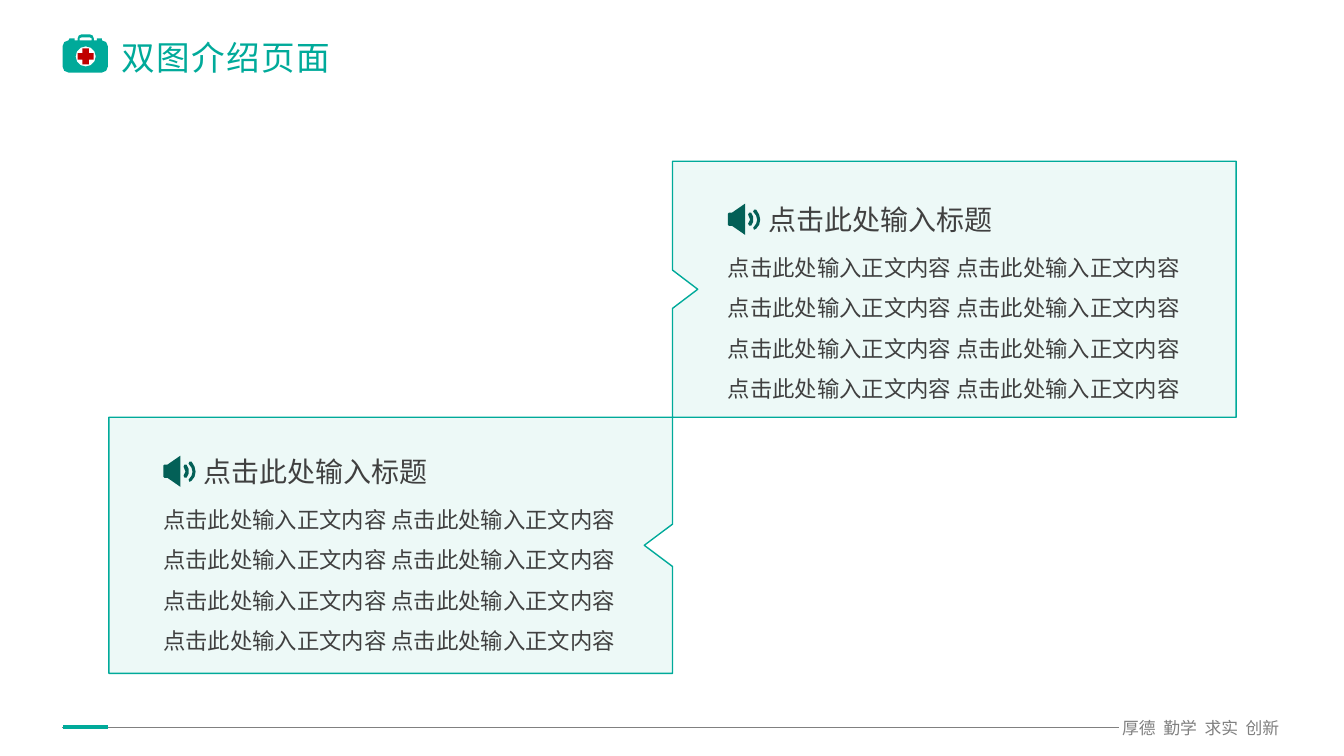
from dataclasses import dataclass
from math import cos, radians, sin

from lxml.etree import SubElement
from pptx import Presentation
from pptx.dml.color import RGBColor as Rgb
from pptx.enum.shapes import MSO_CONNECTOR as Conn, MSO_SHAPE as Shape
from pptx.enum.text import MSO_ANCHOR as Anchor, PP_ALIGN as Align
from pptx.oxml.ns import qn
from pptx.util import Pt

PX = 9144


@dataclass(frozen=True)
class Theme:
    """Colours, font and type sizes of the slide."""
    teal: str = "00AA9A"
    deep: str = "008074"
    dark: str = "036057"
    red: str = "C00000"
    ink: str = "404040"
    grey: str = "808080"
    font: str = "Noto Sans CJK JP"
    title: int = 24
    head: int = 20
    body: int = 16
    foot: int = 12


T = Theme()


def rgb(code):
    """Turn a hex code into a colour."""
    return Rgb.from_string(code)


def arc(cx, cy, r, start, end, count=2):
    """List points along a circular arc, angles in degrees, clockwise."""
    turns = [radians(start + (end - start) * i / count) for i in range(count + 1)]
    return [(cx + r * cos(a), cy + r * sin(a)) for a in turns]


def paint(shape, fill, line=None):
    """Give a shape its fill and its line."""
    shape.shadow.inherit = False
    shape.fill.solid()
    shape.fill.fore_color.rgb = rgb(fill)
    if line:
        shape.line.color.rgb = rgb(line)
        shape.line.width = Pt(1)
    else:
        shape.line.fill.background()


def draw(slide, x, y, loops, fill, line=None):
    """Draw closed outlines, given relative to x and y, as one shape."""
    loops = [[((x + a) * PX, (y + b) * PX) for a, b in loop] for loop in loops]
    pen = slide.shapes.build_freeform(*loops[0][0], scale=1.0)
    pen.add_line_segments(loops[0][1:], close=True)
    for loop in loops[1:]:
        pen.move_to(*loop[0])
        pen.add_line_segments(loop[1:], close=True)
    shape = pen.convert_to_shape()
    paint(shape, fill, line)
    return shape


def rule(slide, x, y, end, color, width, cap="flat"):
    """Draw a level line from x to end."""
    line = slide.shapes.add_connector(Conn.STRAIGHT, x * PX, y * PX, end * PX, y * PX)
    line.line.color.rgb = rgb(color)
    line.line.width = Pt(width)
    line.line._get_or_add_ln().set("cap", cap)
    SubElement(line._element.spPr, qn("a:effectLst"))


def frame(slide, x, y, w, h, pad=5):
    """Add an empty text box and return its frame."""
    text = slide.shapes.add_textbox(x * PX, y * PX, w * PX, h * PX).text_frame
    text.word_wrap = True
    text.margin_left = text.margin_right = 0
    text.margin_top = text.margin_bottom = pad * PX
    return text


def add_run(para, words, size, color, space=0):
    """Add a run with its font, and letter spacing in hundredths of a point."""
    run = para.add_run()
    run.text = words
    run.font.name = T.font
    run.font.size = Pt(size)
    run.font.color.rgb = rgb(color)
    props = run.font._element
    SubElement(props, qn("a:ea")).set("typeface", T.font)
    if space:
        props.set("spc", str(space))
    return run


def footer(slide, x, y, w):
    """Place the rule, its accent and the motto."""
    text = frame(slide, x + w - 164, y - 10, 160, 20, 0)
    text.word_wrap = False
    para = text.paragraphs[0]
    para.alignment = Align.CENTER
    for i, word in enumerate(["厚德", "勤学", "求实", "创新"]):
        if i:
            add_run(para, " ", T.foot, T.grey, 270)
        add_run(para, word, T.foot, T.grey)
    rule(slide, x, y, x + w - 165, T.grey, 0.5)
    rule(slide, x + 3, y - 1, x + 43, T.teal, 3, "sq")


def kit(slide, x, y):
    """Draw the first-aid case."""
    case = [
        *arc(6, 12, 6, 180, 270), (7, 4), (12, 4), (12, 6), (15, 6),
        *arc(19, 4, 4, 180, 270), *arc(27, 4, 4, 270, 360), (31, 6),
        (34, 6), (34, 4), (39, 4), *arc(39, 12, 6, 270, 360),
        *arc(39, 32, 6, 0, 90), *arc(6, 32, 6, 90, 180),
    ]
    grip = [(17, 6), (17, 4), (19, 3), (27, 3), (29, 4), (29, 6)]
    hole = arc(23, 22, 10, 0, 330, 11)
    draw(slide, x, y, [case, grip, hole], T.teal)
    cross = slide.shapes.add_shape(
        Shape.CROSS, (x + 15) * PX, (y + 14) * PX, 16 * PX, 16 * PX)
    cross.adjustments[0] = 0.3
    paint(cross, T.red)


def header(slide, x, y):
    """Place the case and the slide title."""
    kit(slide, x, y)
    text = frame(slide, x + 59, y - 3, 866, 51)
    text.vertical_anchor = Anchor.MIDDLE
    run = add_run(text.paragraphs[0], "双图介绍页面", T.title, T.teal, 100)
    fill = run.font.fill
    fill.gradient()
    fill.gradient_angle = 315
    for stop, color in zip(fill.gradient_stops, (T.teal, T.deep)):
        stop.color.rgb = rgb(color)


def horn(slide, x, y):
    """Draw the loudspeaker with its two sound waves."""
    outer = [(26, 6), (28, 6), (31, 11), (32, 16), (31, 21), (28, 25),
             (26, 26), (25, 24), (28, 20), (29, 16), (28, 12), (25, 8)]
    inner = [(21, 9), (23, 9), (25, 13), (25, 18), (23, 22), (21, 22),
             (20, 20), (22, 16), (20, 11)]
    cone = [(0, 10), (1, 9), (4, 9), (17, 0), (17, 31), (4, 22), (1, 22), (0, 21)]
    for edge in (outer, inner, cone):
        draw(slide, x, y, [edge], T.dark)


def story(slide, x, y):
    """Place the four lines of text, the heading and the icon."""
    body = frame(slide, x, y + 38, 467, 184)
    for i in range(4):
        para = body.paragraphs[0] if i == 0 else body.add_paragraph()
        para.alignment = Align.JUSTIFY
        para.line_spacing = 1.5
        add_run(para, "点击此处输入正文内容 点击此处输入正文内容", T.body, T.ink)
    head = frame(slide, x + 40, y, 427, 37)
    add_run(head.paragraphs[0], "点击此处输入标题", T.head, T.ink)
    horn(slide, x, y + 6)


def panel(slide, x, y, w, h, side, depth, half):
    """Draw a tinted box with a notch in its left or right side."""
    near, far, tip = (0, w, depth) if side == "left" else (w, 0, w - depth)
    mid = h // 2
    edge = [(far, 0), (near, 0), (near, mid - half), (tip, mid),
            (near, mid + half), (near, h), (far, h)]
    shape = draw(slide, x, y, [edge], T.teal, T.teal)
    tint = shape._element.spPr.find(qn("a:solidFill"))[0]
    SubElement(tint, qn("a:alpha")).set("val", "7000")


def build():
    """Build the slide and save it."""
    deck = Presentation()
    deck.slide_width, deck.slide_height = 1333 * PX, 750 * PX
    slide = deck.slides.add_slide(deck.slide_layouts[6])
    footer(slide, 62, 722, 1213)
    left, mid, top, w, h = 108, 667, 160, 559, 254
    panel(slide, left, top + h, w, h, "right", 28, 21)
    panel(slide, mid, top, w, h, "left", 25, 19)
    header(slide, 62, 34)
    story(slide, mid + 55, top + 36)
    story(slide, left + 54, top + h + 32)
    deck.save("out.pptx")


if __name__ == "__main__":
    build()
